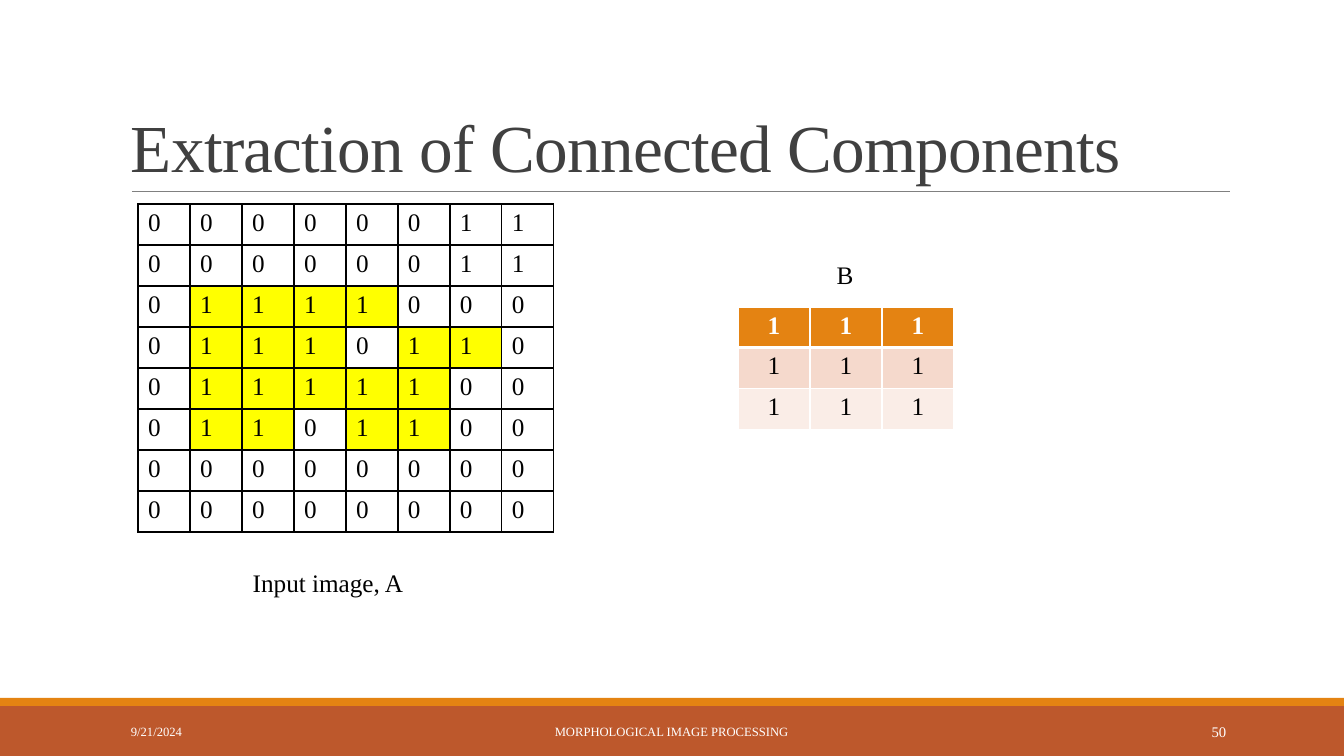
from lxml.etree import SubElement
from pptx import Presentation
from pptx.dml.color import RGBColor
from pptx.enum.shapes import MSO_CONNECTOR, MSO_SHAPE
from pptx.enum.text import MSO_ANCHOR, PP_ALIGN
from pptx.oxml import parse_xml
from pptx.oxml.ns import nsdecls, qn
from pptx.util import Pt

PX = 914400 / 100.8
FONT = "Times New Roman"
BLACK, WHITE, YELLOW = "000000", "FFFFFF", "FFFF00"
ORANGE, RUST = "E48312", "BD582C"
INPUT_ROWS = [
    "00000011",
    "00000011",
    "01111000",
    "01110110",
    "01111100",
    "01101100",
    "00000000",
    "00000000",
]


def color(hex_string):
    return RGBColor.from_string(hex_string)


def style_paragraph(paragraph, text, size, text_color, align, bold=False):
    paragraph.text = text
    paragraph.alignment = align
    paragraph.font.name = FONT
    paragraph.font.size = Pt(size)
    paragraph.font.bold = bold
    paragraph.font.color.rgb = color(text_color)


presentation = Presentation()
presentation.slide_width = round(1344 * PX)
presentation.slide_height = round(756 * PX)
slide = presentation.slides.add_slide(presentation.slide_layouts[6])

for top, height, fill in [(706, 50, RUST), (698, 8, ORANGE)]:
    bar = slide.shapes.add_shape(
        MSO_SHAPE.RECTANGLE, 0, round(top * PX), presentation.slide_width, round(height * PX)
    )
    bar.shadow.inherit = False
    bar.fill.solid()
    bar.fill.fore_color.rgb = color(fill)
    bar.line.fill.background()

title_rule = slide.shapes.add_connector(
    MSO_CONNECTOR.STRAIGHT, *[round(value * PX) for value in (132, 191, 1230, 191)]
)
title_rule.line.color.rgb = color("808080")
title_rule.line.width = Pt(0.5)
SubElement(title_rule._element.spPr, qn("a:effectLst"))

texts = [
    ("Extraction of Connected Components", (121, 31, 1109, 160), 48, "404040", PP_ALIGN.LEFT, MSO_ANCHOR.BOTTOM),
    ("Input image, A", (242, 562, 172, 40), 18, BLACK, PP_ALIGN.CENTER, MSO_ANCHOR.TOP),
    ("B", (814, 254, 62, 40), 18, BLACK, PP_ALIGN.CENTER, MSO_ANCHOR.TOP),
    ("9/21/2024", (121, 712, 272, 40), 9, WHITE, PP_ALIGN.LEFT, MSO_ANCHOR.MIDDLE),
    ("MORPHOLOGICAL IMAGE PROCESSING", (406, 712, 531, 40), 9, WHITE, PP_ALIGN.CENTER, MSO_ANCHOR.MIDDLE),
    ("50", (1092, 712, 144, 40), 10.5, WHITE, PP_ALIGN.RIGHT, MSO_ANCHOR.MIDDLE),
]
for text, box, size, text_color, align, anchor in texts:
    text_box = slide.shapes.add_textbox(*[round(value * PX) for value in box])
    text_frame = text_box.text_frame
    text_frame.word_wrap = True
    text_frame.vertical_anchor = anchor
    paragraph = text_frame.paragraphs[0]
    style_paragraph(paragraph, text, size, text_color, align)
    if size == 48:
        paragraph.line_spacing = 0.85
        paragraph.runs[0].font._element.set("spc", "-50")

input_fills = [
    [YELLOW if value == "1" and row >= 2 else WHITE for value in values]
    for row, values in enumerate(INPUT_ROWS)
]
element_fills = [[fill] * 3 for fill in (ORANGE, "F5D9CC", "FAEDE7")]
tables = [
    (138, 204, 52, [41] * 8, INPUT_ROWS, input_fills, BLACK, PP_ALIGN.LEFT),
    (738, 307, 72, [33, 41, 41], ["111"] * 3, element_fills, WHITE, PP_ALIGN.CENTER),
]
for left, top, column_width, row_heights, rows, fills, border, align in tables:
    width = column_width * len(rows[0])
    table = slide.shapes.add_table(
        len(rows), len(rows[0]),
        *[round(value * PX) for value in (left, top, width, sum(row_heights))]
    ).table
    table.first_row = False
    table.horz_banding = False
    for column in table.columns:
        column.width = round(column_width * PX)
    for row, values in enumerate(rows):
        table.rows[row].height = round(row_heights[row] * PX)
        for column, value in enumerate(values):
            cell = table.cell(row, column)
            fill = fills[row][column]
            header = fill == ORANGE
            cell.fill.solid()
            cell.fill.fore_color.rgb = color(fill)
            style_paragraph(
                cell.text_frame.paragraphs[0], value, 18, WHITE if header else BLACK, align, header
            )
            after_header = row > 0 and fills[row - 1][column] == ORANGE
            thick_side = "B" if header else "T" if after_header else ""
            properties = cell._tc.get_or_add_tcPr()
            for position, side in enumerate("LRTB"):
                line_width = Pt(3 if side == thick_side else 1)
                properties.insert(position, parse_xml(
                    f'<a:ln{side} {nsdecls("a")} w="{line_width}"><a:solidFill>'
                    f'<a:srgbClr val="{border}"/></a:solidFill></a:ln{side}>'
                ))

presentation.save("out.pptx")
